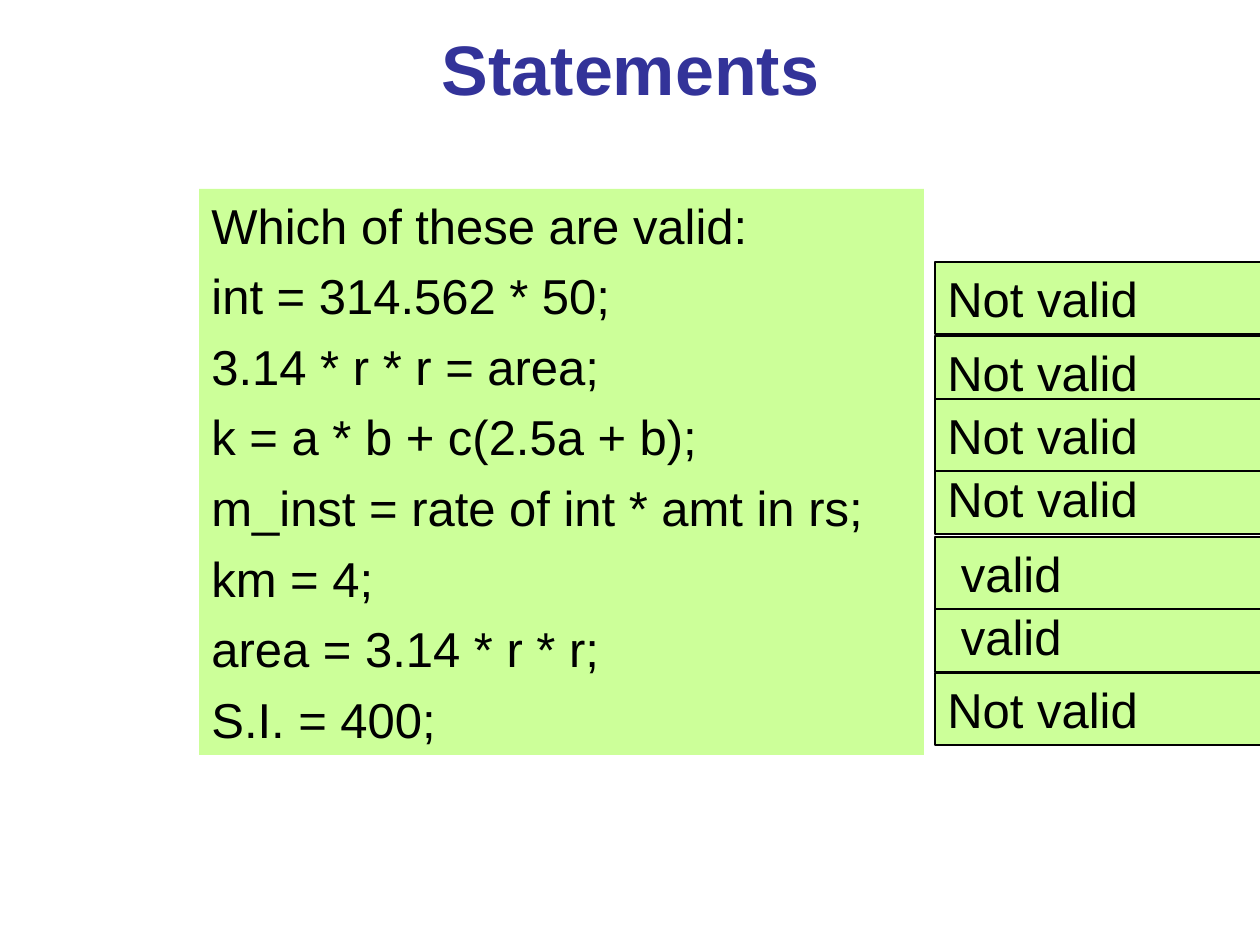
from pptx import Presentation
from pptx.dml.color import RGBColor
from pptx.enum.shapes import MSO_SHAPE
from pptx.enum.text import MSO_ANCHOR, MSO_AUTO_SIZE, PP_ALIGN
from pptx.util import Inches, Pt

PX = Inches(1) / 126
COLORS = {"title": "333399", "panel": "CCFF99", "ink": "000000"}

TITLE = "Statements"
QUESTIONS = [
    "Which of these are valid:",
    "int = 314.562 * 50;",
    "3.14 * r * r = area;",
    "k = a * b + c(2.5a + b);",
    "m_inst = rate of int * amt in rs;",
    "km = 4;",
    "area = 3.14 * r * r;",
    "S.I. = 400;",
]
# (top, answer), back to front: the boxes overlap slightly
ANSWERS = [
    (336, "Not valid"),
    (462, "Not valid"),
    (399, "Not valid"),
    (262, "Not valid"),
    (600, " valid"),
    (673, "Not valid"),
    (537, " valid"),
]


def emu(*lengths):
    return [round(n * PX) for n in lengths]


def rgb(name):
    return RGBColor.from_string(COLORS[name])


def write(s, lines, size=28, color="ink", bold=False, align=PP_ALIGN.LEFT,
          anchor=MSO_ANCHOR.TOP, spacing=1.0):
    """Fill a shape with paragraphs; spacing applies after the first line."""
    tf = s.text_frame
    tf.word_wrap = True
    tf.vertical_anchor = anchor
    for i, line in enumerate(lines):
        p = tf.add_paragraph() if i else tf.paragraphs[0]
        p.alignment = align
        if i:
            p.line_spacing = spacing
        r = p.add_run()
        r.text = line
        r.font.name = "Arial"
        r.font.size = Pt(size)
        r.font.bold = bold
        r.font.color.rgb = rgb(color)


def add_panel(slide, box, lines, outlined=False, **text_format):
    s = slide.shapes.add_shape(MSO_SHAPE.RECTANGLE, *emu(*box))
    s.shadow.inherit = False
    s.fill.solid()
    s.fill.fore_color.rgb = rgb("panel")
    if outlined:
        s.line.color.rgb = rgb("ink")
        s.line.width = Pt(0.75)
    else:
        s.line.fill.background()
    write(s, lines, **text_format)
    s.text_frame.auto_size = MSO_AUTO_SIZE.SHAPE_TO_FIT_TEXT


prs = Presentation()
prs.slide_width, prs.slide_height = Inches(10), Inches(7.5)
slide = prs.slides.add_slide(prs.slide_layouts[6])

title = slide.shapes.add_textbox(*emu(32, 0, 1197, 136))
write(title, [TITLE], size=40, color="title", bold=True,
      align=PP_ALIGN.CENTER, anchor=MSO_ANCHOR.MIDDLE)

add_panel(slide, (199, 189, 725, 566), QUESTIONS, spacing=1.2)
for top, answer in ANSWERS:
    add_panel(slide, (935, top, 409, 72), [answer], outlined=True)

prs.save("out.pptx")
